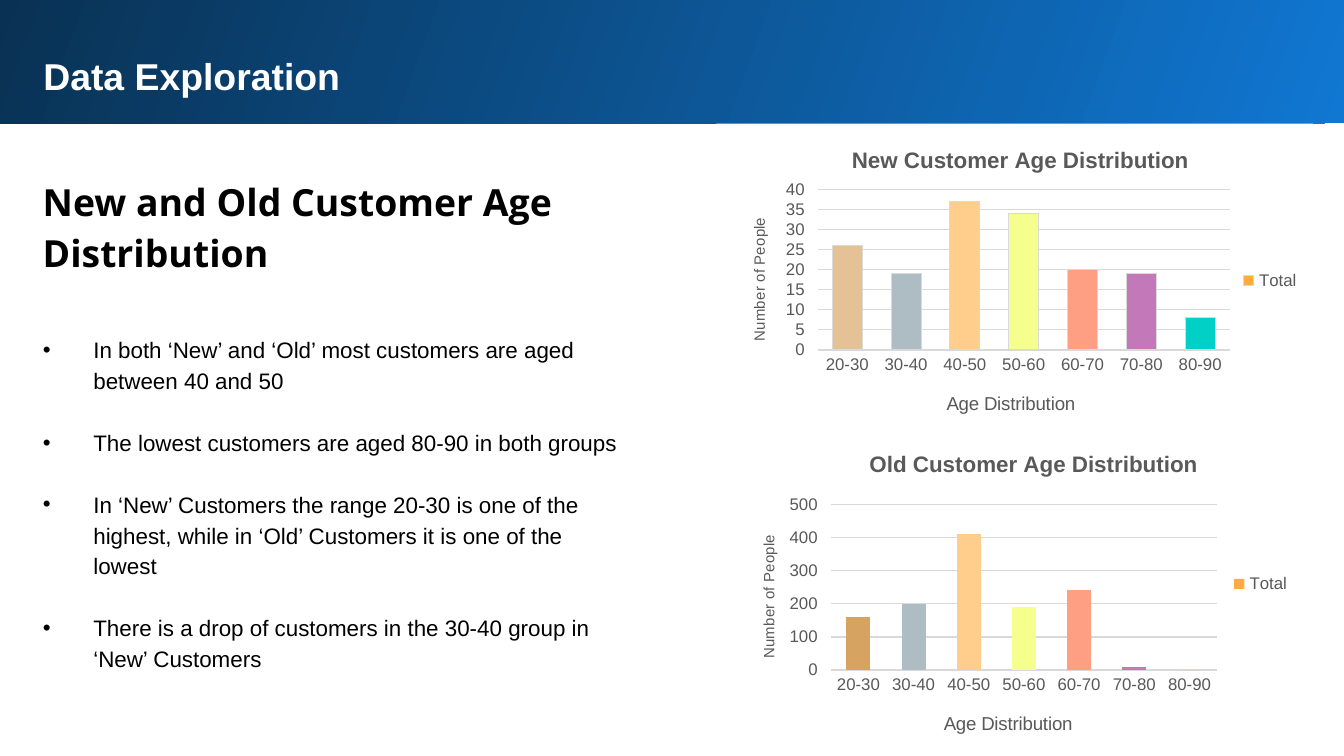
import pptx
import pptx.util
import pptx.chart.data
import pptx.dml.color
import pptx.enum.chart
import pptx.enum.shapes
import pptx.enum.text
import pptx.oxml
import pptx.oxml.ns
import lxml.etree

Pt = pptx.util.Pt
RGB = pptx.dml.color.RGBColor
qn = pptx.oxml.ns.qn

WHITE = RGB(0xFF, 0xFF, 0xFF)
BLACK = RGB(0, 0, 0)
BRIGHT_BLUE = RGB(0x10, 0x77, 0xD2)
NAVY = RGB(0x09, 0x31, 0x53)
GREY = RGB(0x59, 0x59, 0x59)
PALE_GREY = RGB(0xD9, 0xD9, 0xD9)
ORANGE = RGB(0xFF, 0xAB, 0x40)
TAN = RGB(0xE4, 0xC2, 0x95)
BROWN = RGB(0xD7, 0xA3, 0x60)
TEAL = RGB(0x00, 0xD0, 0xC6)
MIDDLE_COLOURS = [RGB(0xAE, 0xBC, 0xC4), RGB(0xFF, 0xCD, 0x8C), RGB(0xF5, 0xFF, 0x8D),
                  RGB(0xFE, 0x9E, 0x82), RGB(0xC3, 0x79, 0xB9)]

AGES = ["20-30", "30-40", "40-50", "50-60", "60-70", "70-80", "80-90"]
BULLETS = [
    "In both ‘New’ and ‘Old’ most customers are aged between 40 and 50",
    "The lowest customers are aged 80-90 in both groups",
    "In ‘New’ Customers the range 20-30 is one of the highest, "
    "while in ‘Old’ Customers it is one of the lowest",
    "There is a drop of customers in the 30-40 group in ‘New’ Customers",
]


def style_font(font, size, colour, bold=False, name="Arial"):
    font.name, font.size, font.bold = name, Pt(size), bold
    font.color.rgb = colour


def fill_text(shape, box, text, size, colour, bold=False, name="Arial", spacing=1.0, gap=0):
    """Move a text shape to its box and give it formatted paragraphs."""
    shape.left, shape.top, shape.width, shape.height = [Pt(length) for length in box]
    frame = shape.text_frame
    frame.text = text
    frame.word_wrap = True
    frame.auto_size = pptx.enum.text.MSO_AUTO_SIZE.NONE
    frame.vertical_anchor = pptx.enum.text.MSO_ANCHOR.TOP
    frame.margin_left = frame.margin_right = frame.margin_top = frame.margin_bottom = Pt(7.2)
    for para in frame.paragraphs:
        para.alignment = pptx.enum.text.PP_ALIGN.LEFT
        para.line_spacing = spacing
        para.space_before, para.space_after = Pt(0), Pt(gap)
        for span in para.runs:
            style_font(span.font, size, colour, bold, name)


def add_header(page, box):
    left, top, width, height = box
    band = page.shapes.add_shape(pptx.enum.shapes.MSO_SHAPE.RECTANGLE,
                                 Pt(left), Pt(top), Pt(width), Pt(height))
    band.shadow.inherit = False
    band.line.fill.background()
    band.fill.gradient()
    band.fill.gradient_angle = 160
    for stop, colour in zip(band.fill.gradient_stops, (BRIGHT_BLUE, NAVY)):
        stop.color.rgb = colour
    # The band lies behind the title
    page.shapes.element.insert(2, band.element)
    fill_text(page.shapes.title, (left + 18, top + 21, 674.6, 38.9),
              "Data Exploration", 20, WHITE, bold=True)


def add_findings(page, box):
    left, top, width, height = box
    heading = page.shapes.add_textbox(0, 0, 0, 0)
    fill_text(heading, (left, top, 674.6, 68.4), "New and Old Customer Age\nDistribution",
              20, BLACK, bold=True, name="Open Sans", spacing=1.15)
    body = page.placeholders[1]
    fill_text(body, (left, top + 85.7, width, height - 85.7), "\n".join(BULLETS),
              12, BLACK, spacing=1.15, gap=16.6)
    for para in body.text_frame.paragraphs:
        properties = para._p.get_or_add_pPr()
        properties.set("marL", str(Pt(27)))
        properties.set("indent", str(Pt(-27)))
        bullet = lxml.etree.SubElement(properties, qn("a:buChar"))
        bullet.set("char", "•")


def place_part(part, index, **fractions):
    """Fix a chart part at fractions of the chart's size."""
    layout = part.find(qn("c:layout"))
    if layout is None:
        layout = part.makeelement(qn("c:layout"))
        part.insert(index, layout)
    manual = lxml.etree.SubElement(layout, qn("c:manualLayout"))
    settings = {"xMode": "edge", "yMode": "edge", **fractions}
    if "w" in fractions:
        settings = {"layoutTarget": "inner", **settings}
    for tag, value in settings.items():
        lxml.etree.SubElement(manual, qn("c:" + tag)).set("val", str(value))


def set_title(title, text, size, position, bold=False):
    title.text_frame.text = text
    style_font(title.text_frame.paragraphs[0].runs[0].font, size, GREY, bold)
    place_part(title._element, 1, x=position[0], y=position[1])


def add_age_chart(page, box, title, values, colours, top_value, step, gap_width,
                  plot, title_at, age_title_at, people_title_at, outlined=False):
    data = pptx.chart.data.CategoryChartData()
    data.categories = AGES
    data.add_series("Total", values)
    chart = page.shapes.add_chart(pptx.enum.chart.XL_CHART_TYPE.COLUMN_CLUSTERED,
                                  *[Pt(length) for length in box], data).chart
    style_font(chart.font, 10, BLACK)
    chart.has_title = True
    set_title(chart.chart_title, title, 12, title_at, bold=True)
    chart.has_legend = True
    chart.legend.position = pptx.enum.chart.XL_LEGEND_POSITION.RIGHT
    chart.legend.include_in_layout = False
    style_font(chart.legend.font, 9, GREY)

    # Axes
    ages, people = chart.category_axis, chart.value_axis
    set_title(ages.axis_title, "Age Distribution", 10, age_title_at)
    set_title(people.axis_title, "Number of People", 8, people_title_at)
    for axis in (ages, people):
        style_font(axis.tick_labels.font, 9, GREY)
    ages.major_tick_mark = pptx.enum.chart.XL_TICK_MARK.NONE
    people.minimum_scale, people.maximum_scale, people.major_unit = 0, top_value, step
    people.format.line.fill.background()
    for line in (ages.format.line, people.major_gridlines.format.line):
        line.color.rgb = PALE_GREY
        line.width = Pt(0.75)

    # Columns
    columns = chart.plots[0]
    columns.gap_width = gap_width
    columns.vary_by_categories = False
    series = columns.series[0]
    formats = [series.format] + [series.points[i].format for i in range(len(colours))]
    for part, colour in zip(formats, [ORANGE] + colours):
        part.fill.solid()
        part.fill.fore_color.rgb = colour
        if outlined:
            part.line.color.rgb = PALE_GREY
            part.line.width = Pt(0)
    x, y, width, height = plot
    place_part(chart._chartSpace.chart.plotArea, 0, x=x, y=y, w=width, h=height)
    return chart


def fill_chart(chart, colour):
    space = chart._chartSpace
    properties = space.makeelement(qn("c:spPr"))
    solid = lxml.etree.SubElement(properties, qn("a:solidFill"))
    lxml.etree.SubElement(solid, qn("a:srgbClr")).set("val", str(colour))
    space.chart.addnext(properties)


deck = pptx.Presentation()
deck.slide_width, deck.slide_height = Pt(720), Pt(405)
page = deck.slides.add_slide(deck.slide_layouts[1])

add_header(page, (-2, 0, 723.6, 66.2))
add_findings(page, (15.8, 85, 325.4, 283))
add_age_chart(page, (389.5, 220.3, 308.9, 185), "Old Customer Age Distribution",
              [160, 200, 410, 190, 240, 10, 0], [BROWN] + MIDDLE_COLOURS, 500, 100, 131,
              plot=(0.18, 0.27, 0.67, 0.48), title_at=(0.24, 0.1),
              age_title_at=(0.37, 0.86), people_title_at=(0.05, 0.35))
new_chart = add_age_chart(page, (383.8, 66.2, 319.7, 168.5), "New Customer Age Distribution",
                          [26, 19, 37, 34, 20, 19, 8], [TAN] + MIDDLE_COLOURS + [TEAL], 40, 5, 97,
                          plot=(0.17, 0.21, 0.69, 0.51), title_at=(0.22, 0.06),
                          age_title_at=(0.38, 0.84), people_title_at=(0.05, 0.29),
                          outlined=True)
fill_chart(new_chart, WHITE)

deck.save("out.pptx")
